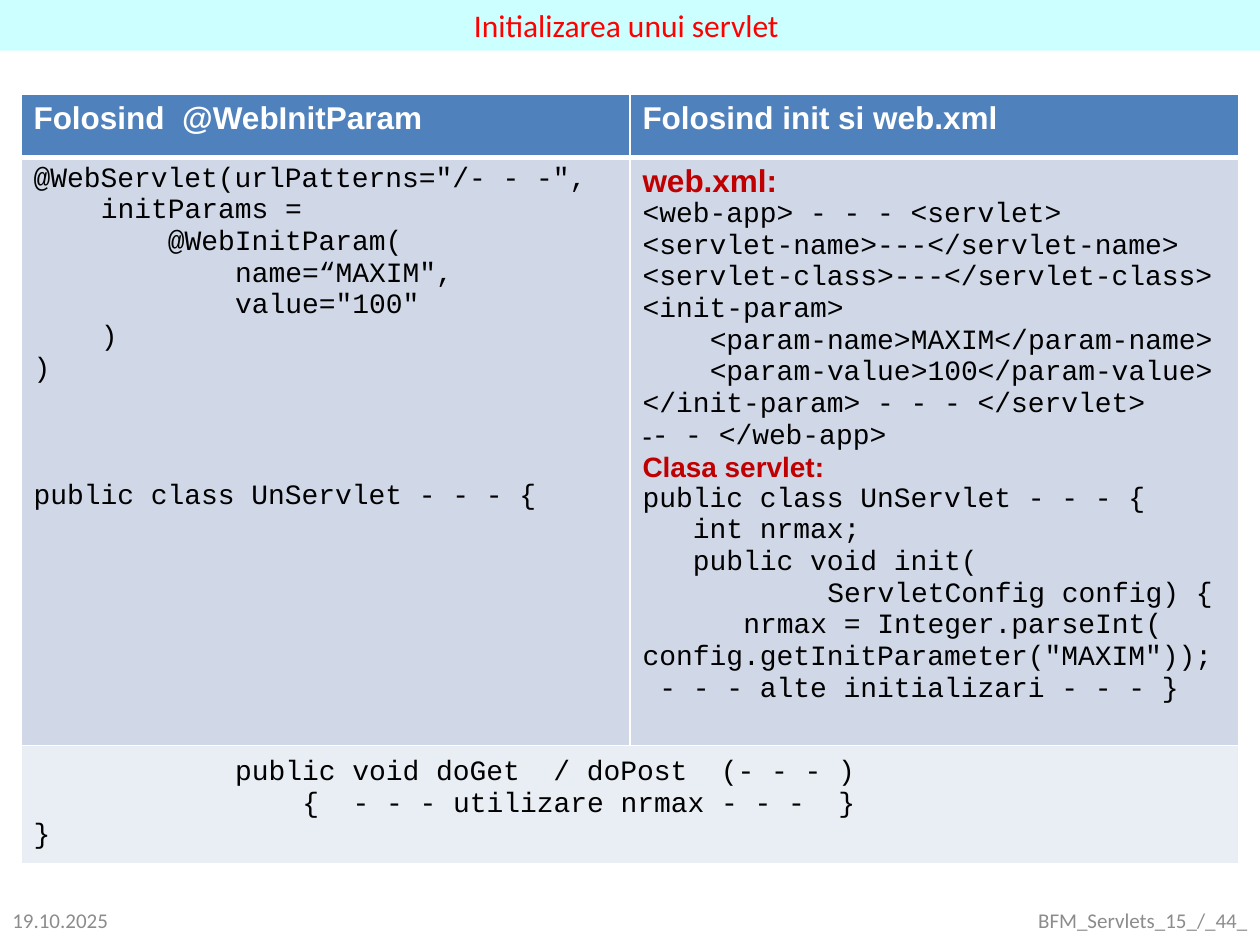
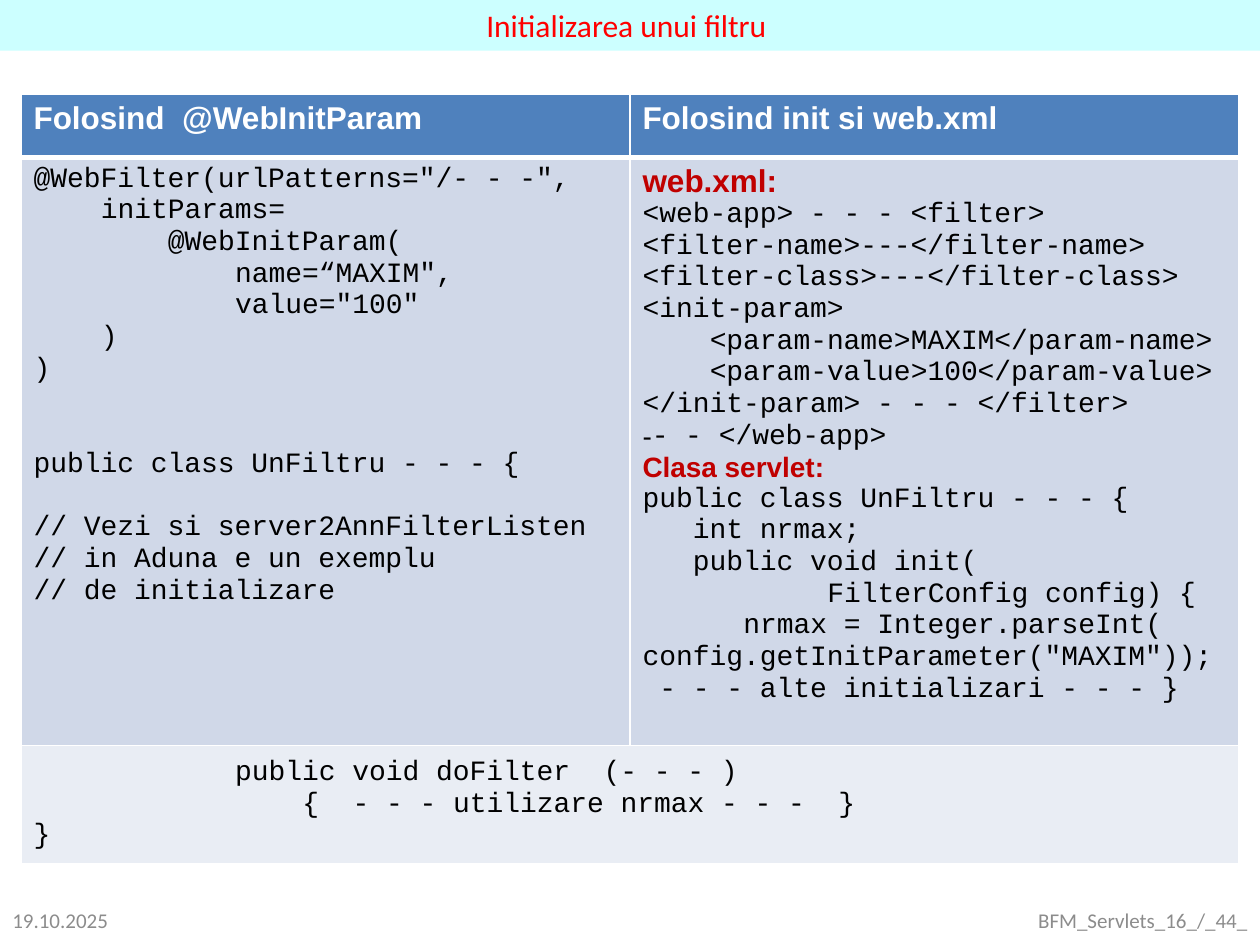
from pptx import Presentation
from pptx.dml.color import RGBColor
from pptx.enum.shapes import MSO_SHAPE as Shape
from pptx.enum.text import MSO_ANCHOR as Anchor, PP_ALIGN as Align
from pptx.oxml import parse_xml
from pptx.oxml.ns import nsdecls
from pptx.util import Pt

DATE = "19.10.2025"
HEADS = ["Folosind  @WebInitParam", "Folosind init si web.xml"]
LABELS = {"web.xml:": 18, "Clasa servlet:": 16}  # red labels and their sizes
DASHED = "- - </web-app>"  # the line with a dash bullet

# An empty string in a code list leaves one line free.
PARAM = [
    "        @WebInitParam(",
    "            name=“MAXIM\",",
    "            value=\"100\"",
    "    )",
    ")",
]
# $Type, $tag and $Class are filled in for each slide.
CONFIG = [
    "web.xml:",
    "<web-app> - - - <$tag>",
    "<$tag-name>---</$tag-name>",
    "<$tag-class>---</$tag-class>",
    "<init-param>",
    "    <param-name>MAXIM</param-name>",
    "    <param-value>100</param-value>",
    "</init-param> - - - </$tag>",
    DASHED,
    "Clasa servlet:",
    "public class $Class - - - {",
    "   int nrmax;",
    "   public void init(",
    "           $TypeConfig config) {",
    "      nrmax = Integer.parseInt(",
    "config.getInitParameter(\"MAXIM\"));",
    " - - - alte initializari - - - }",
]
METHOD = [
    "            public void $method",
    "                {  - - - utilizare nrmax - - -  }",
    "}",
]
PAGES = [
    {
        "title": "Initializarea unui servlet ",
        "foot": "BFM_Servlets_15_/_44_",
        "names": {"$Type": "Servlet", "$tag": "servlet", "$Class": "UnServlet",
                  "$method": "doGet  / doPost  (- - - )"},
        "notes": ["@Web$Type(urlPatterns=\"/- - -\",", "    initParams =", *PARAM,
                  "", "", "", "public class $Class - - - {"],
    },
    {
        "title": "Initializarea unui filtru ",
        "foot": "BFM_Servlets_16_/_44_",
        "names": {"$Type": "Filter", "$tag": "filter", "$Class": "UnFiltru",
                  "$method": "doFilter  (- - - )"},
        "notes": ["@Web$Type(urlPatterns=\"/- - -\",", "    initParams=", *PARAM,
                  "", "", "public class $Class - - - {", "",
                  "// Vezi si server2AnnFilterListen",
                  "// in Aduna e un exemplu",
                  "// de initializare"],
    },
]

WIDE, HIGH = 720, 540
BAND, RED, GRAY = "CCFFFF", "FF0000", "8C8C8C"
HEAD, BODY, LAST = "4F81BD", "D0D8E8", "E9EDF4"
WHITE, BLACK, LABEL = "FFFFFF", "000000", "C00000"
COLS, ROWS = [348, 348], [36, 336, 67]
CODE = 16
CHAR, LINE = 0.6 * CODE, 1.133 * CODE  # Courier New advance and line height


def color(hue):
    return RGBColor.from_string(hue)


def style(para, face, size, hue, bold=False):
    font = para.font
    font.name, font.size, font.bold = face, Pt(size), bold
    font.color.rgb = color(hue)


def fill_in(lines, names):
    """Put the slide's names in place of the $ marks."""
    for mark, name in names.items():
        lines = [line.replace(mark, name) for line in lines]
    return lines


def add_code(frame, lines):
    """Write code, with leading spaces as indents and empty lines as space before."""
    gap, para = 0, None
    for line in lines:
        if not line:
            gap += LINE
            continue
        para = frame.add_paragraph() if para else frame.paragraphs[0]
        para.text = line.lstrip()
        if gap:
            para.space_before = Pt(gap)
            gap = 0
        if line in LABELS:
            style(para, "Arial", LABELS[line], LABEL, True)
        else:
            style(para, "Courier New", CODE, BLACK)
        props = para._p.get_or_add_pPr()
        props.set("marL", str(Pt(CHAR * (len(line) - len(line.lstrip())))))
        props.set("indent", "0")
        if line == DASHED:
            for tag in ('buFont %s typeface="Arial"', 'buChar %s char="-"'):
                props.append(parse_xml(f"<a:{tag % nsdecls('a')}/>"))


def paint(cell, hue, row):
    """Give a cell white borders, thick below the head row, and its fill."""
    props = cell._tc.get_or_add_tcPr()
    for side in "LRTB":
        thick = (row, side) in ((0, "B"), (1, "T"))
        props.append(parse_xml(
            f'<a:ln{side} {nsdecls("a")} w="{Pt(3 if thick else 1)}"><a:solidFill>'
            f'<a:srgbClr val="{WHITE}"/></a:solidFill></a:ln{side}>'))
    cell.fill.solid()
    cell.fill.fore_color.rgb = color(hue)


def add_foot(slide, text, left, width, align):
    frame = slide.shapes.add_textbox(Pt(left), Pt(511), Pt(width), Pt(29)).text_frame
    frame.word_wrap, frame.vertical_anchor = True, Anchor.MIDDLE
    para = frame.paragraphs[0]
    para.text, para.alignment = text, align
    style(para, "Calibri", 12, GRAY)


def add_band(slide, title):
    band = slide.shapes.add_shape(Shape.RECTANGLE, 0, 0, Pt(WIDE), Pt(29))
    band.shadow.inherit = False
    band.fill.solid()
    band.fill.fore_color.rgb = color(BAND)
    band.line.fill.background()
    frame = band.text_frame
    frame.word_wrap, frame.vertical_anchor = True, Anchor.TOP
    para = frame.paragraphs[0]
    para.text, para.alignment = title, Align.CENTER
    style(para, "Calibri", 18, RED)


def add_grid(slide, page):
    grid = slide.shapes.add_table(len(ROWS), len(COLS), Pt(12), Pt(54),
                                  Pt(sum(COLS)), Pt(sum(ROWS))).table
    for col, width in zip(grid.columns, COLS):
        col.width = Pt(width)
    for row, height in zip(grid.rows, ROWS):
        row.height = Pt(height)
    for row, hue in enumerate((HEAD, BODY, LAST)):
        for col in range(len(COLS)):
            paint(grid.cell(row, col), hue, row)
    for col, head in enumerate(HEADS):
        para = grid.cell(0, col).text_frame.paragraphs[0]
        para.text = head
        style(para, "Arial", 18, WHITE, True)
    last = grid.cell(2, 0)
    last.merge(grid.cell(2, 1))
    last.margin_top = Pt(6.6)
    parts = ((grid.cell(1, 0), page["notes"]), (grid.cell(1, 1), CONFIG), (last, METHOD))
    for cell, lines in parts:
        add_code(cell.text_frame, fill_in(lines, page["names"]))


def main():
    deck = Presentation()
    deck.slide_width, deck.slide_height = Pt(WIDE), Pt(HIGH)
    for page in PAGES:
        slide = deck.slides.add_slide(deck.slide_layouts[6])
        add_foot(slide, DATE, 0, 72, Align.LEFT)
        add_foot(slide, page["foot"], 540, 180, Align.RIGHT)
        add_band(slide, page["title"])
        add_grid(slide, page)
    deck.save("out.pptx")


if __name__ == "__main__":
    main()
